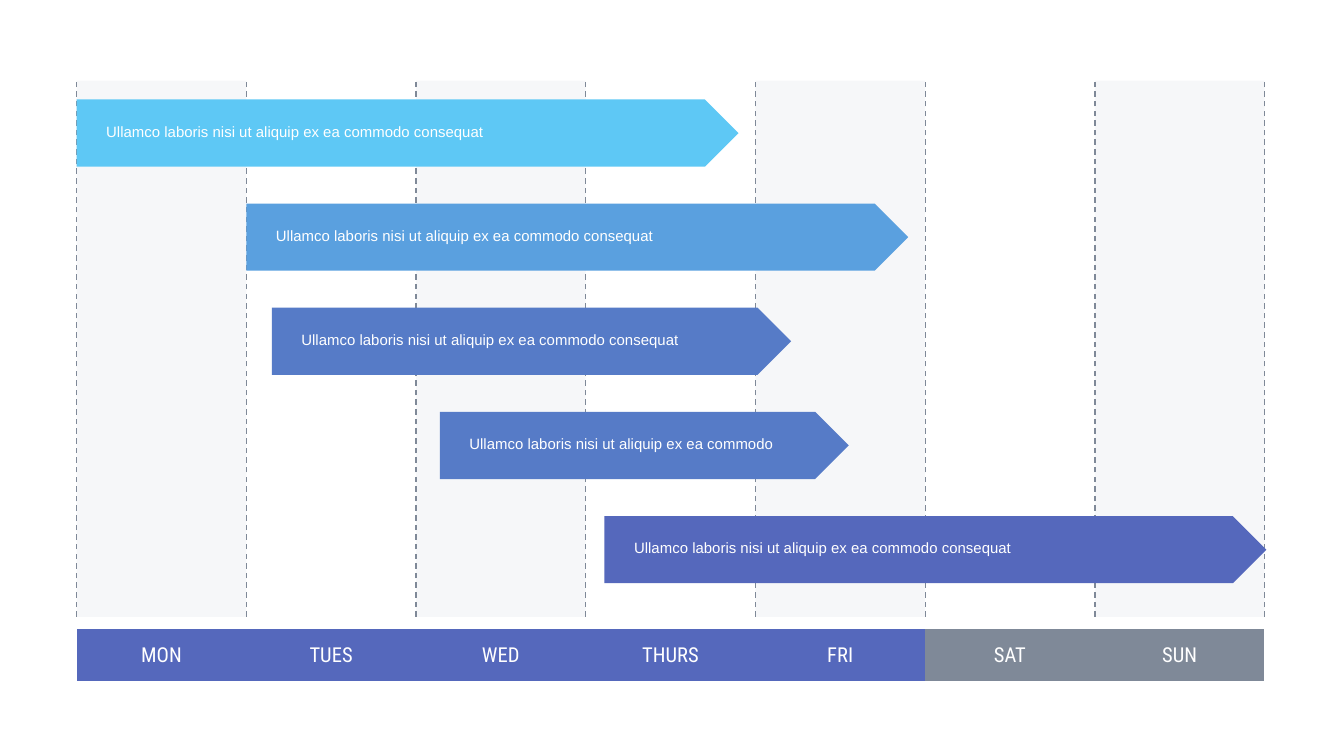
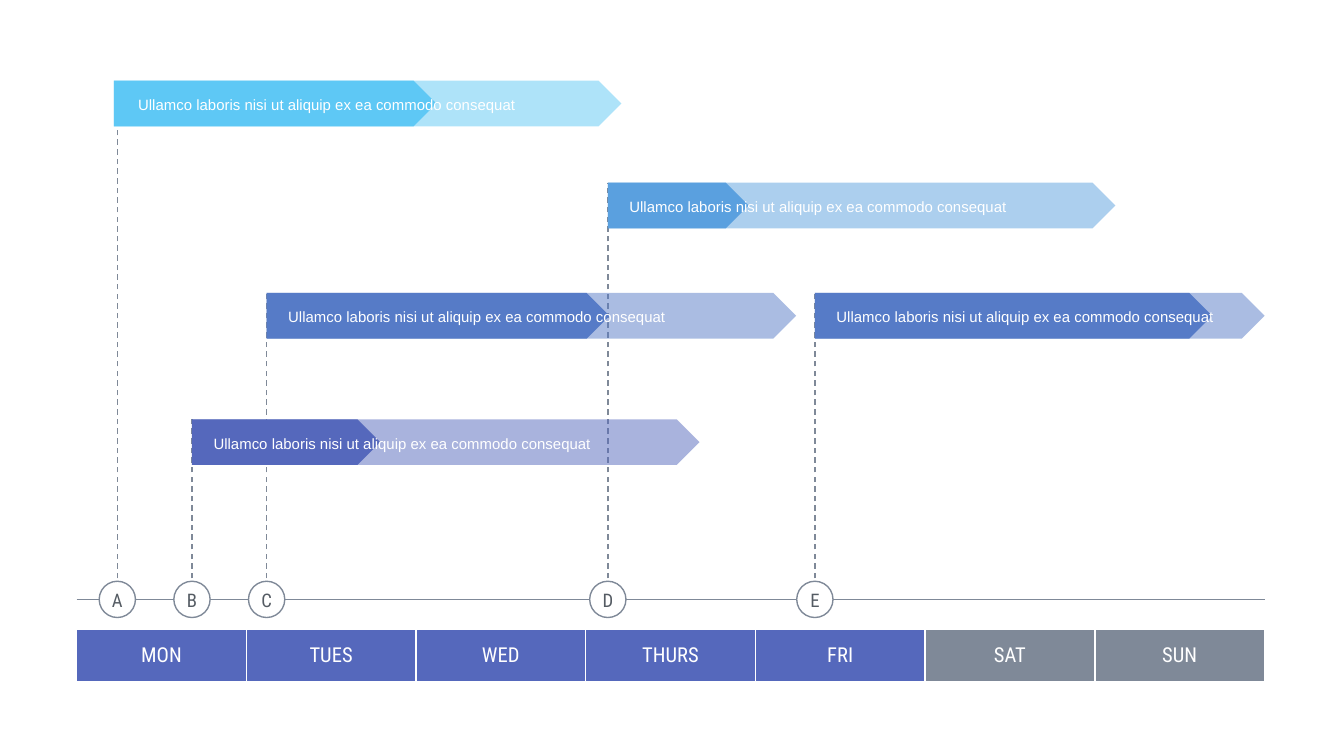
from lxml.etree import SubElement
from pptx import Presentation
from pptx.dml.color import RGBColor
from pptx.enum.dml import MSO_LINE
from pptx.enum.shapes import MSO_CONNECTOR, MSO_SHAPE as SHAPE
from pptx.enum.text import MSO_ANCHOR, PP_ALIGN as ALIGN
from pptx.oxml.ns import qn
from pptx.util import Inches, Pt

COLORS = {"white": "FFFFFF", "stripe": "EEF0F4", "gray": "7F8998", "ink": "545B63",
          "sky": "5EC8F5", "azure": "5AA0DF", "blue": "567BC7", "indigo": "5568BC"}
HEAD_FONT, BODY_FONT = "Roboto Condensed", "Arial"

DAYS = ["MON", "TUES", "WED", "THURS", "FRI", "SAT", "SUN"]
WORKDAYS = 5
SHORT = "Ullamco laboris nisi ut aliquip ex ea commodo"
TASK = SHORT + " consequat"

# start and length in day columns
WEEK_TASKS = [
    (0, 3.9, "sky", TASK),
    (1, 3.9, "azure", TASK),
    (1.15, 3.06, "blue", TASK),
    (2.14, 2.41, "blue", SHORT),
    (3.11, 3.9, "indigo", TASK),
]
# letter, marker, start, length and finished part in day columns, top, label indent, colour
PROGRESS = [
    ("A", 0.24, 0.22, 2.99, 1.9, 0.6, 0.14, "sky"),
    ("B", 0.68, 0.68, 2.99, 1.11, 3.12, 0.12, "indigo"),
    ("C", 1.12, 1.12, 3.12, 2.02, 2.18, 0.12, "blue"),
    ("D", 3.13, 3.13, 2.99, 0.83, 1.36, 0.12, "azure"),
    ("E", 4.35, 4.35, 2.65, 2.34, 2.18, 0.12, "blue"),
]

WIDTH = 10
HEIGHT = WIDTH * 9 / 16
LEFT, RIGHT, TOP, BOTTOM = 0.57, 9.41, 0.6, 4.59
COL = (RIGHT - LEFT) / len(DAYS)
TABLE_TOP, TABLE_H = 4.68, 0.39
AXIS_Y, DOT = 4.46, 0.27


def rgb(name):
    return RGBColor.from_string(COLORS[name])


def day_x(day):
    return LEFT + day * COL


def add_shape(parent, kind, x, y, w, h, color, alpha=None, line=None):
    s = parent.shapes.add_shape(kind, *map(Inches, (x, y, w, h)))
    s.shadow.inherit = False
    s.fill.solid()
    s.fill.fore_color.rgb = rgb(color)
    if alpha:
        clr = s._element.spPr.find(qn("a:solidFill"))[0]
        SubElement(clr, qn("a:alpha")).set("val", str(alpha * 1000))
    if line:
        s.line.color.rgb = rgb(line)
        s.line.width = Pt(0.75)
    else:
        s.line.fill.background()
    return s


def add_line(slide, x1, y1, x2, y2, dashed=True):
    c = slide.shapes.add_connector(MSO_CONNECTOR.STRAIGHT, *map(Inches, (x1, y1, x2, y2)))
    c.line.color.rgb = rgb("gray")
    c.line.width = Pt(0.75)
    if dashed:
        c.line.dash_style = MSO_LINE.DASH
    SubElement(c._element.spPr, qn("a:effectLst"))


def style(p, size, font, color, align=ALIGN.LEFT):
    p.alignment = align
    p.font.size, p.font.name = Pt(size), font
    p.font.color.rgb = rgb(color)


def add_text(parent, text, x, y, w, h, inset, *look):
    tf = parent.shapes.add_textbox(*map(Inches, (x, y, w, h))).text_frame
    tf.word_wrap = True
    tf.margin_left = tf.margin_right = Inches(inset)
    tf.margin_top = tf.margin_bottom = Inches(0.02)
    tf.text = text
    style(tf.paragraphs[0], *look)


def add_bar(slide, x, y, h, parts, color, text, indent, drop):
    g = slide.shapes.add_group_shape()
    for w, alpha in parts:
        add_shape(g, SHAPE.PENTAGON, x, y, w, h, color, alpha)
    add_text(g, text, x + indent, y + drop, 3.11, 0.18, 0.04, 8, BODY_FONT, "white")


def set_borders(cell, color=None):
    tcPr = cell._tc.get_or_add_tcPr()
    for i, side in enumerate(("lnL", "lnR", "lnT", "lnB")):
        ln = tcPr.makeelement(qn("a:" + side), {"w": str(Pt(1))})
        if color:
            SubElement(SubElement(ln, qn("a:solidFill")), qn("a:srgbClr")).set("val", COLORS[color])
        else:
            SubElement(ln, qn("a:noFill"))
        tcPr.insert(i, ln)


def add_days(slide, border=None):
    table = slide.shapes.add_table(1, len(DAYS), *map(
        Inches, (LEFT, TABLE_TOP, RIGHT - LEFT, TABLE_H))).table
    table.first_row = table.horz_banding = False
    for i, day in enumerate(DAYS):
        table.columns[i].width = Inches(COL)
        cell = table.cell(0, i)
        cell.text = day
        cell.vertical_anchor = MSO_ANCHOR.MIDDLE
        cell.margin_left = cell.margin_right = Inches(0.04)
        cell.margin_top = cell.margin_bottom = Inches(0.02)
        cell.fill.solid()
        cell.fill.fore_color.rgb = rgb("indigo" if i < WORKDAYS else "gray")
        set_borders(cell, border)
        style(cell.text_frame.paragraphs[0], 11, HEAD_FONT, "white", ALIGN.CENTER)


def build_week(slide):
    for i in range(0, len(DAYS), 2):
        add_shape(slide, SHAPE.RECTANGLE, day_x(i), TOP, COL, BOTTOM - TOP, "stripe", 50)
    add_days(slide)
    for i in range(len(DAYS) + 1):
        add_line(slide, day_x(i), BOTTOM, day_x(i), TOP)
    pitch = (3.84 - 0.74) / (len(WEEK_TASKS) - 1)
    for i, (start, days, color, text) in enumerate(WEEK_TASKS):
        add_bar(slide, day_x(start), 0.74 + i * pitch, 0.5, [(days * COL, None)],
                color, text, 0.18, 0.15)


def build_progress(slide):
    add_line(slide, LEFT, AXIS_Y, RIGHT, AXIS_Y, dashed=False)
    for letter, mark, _, _, _, top, _, _ in PROGRESS:
        x = day_x(mark)
        add_line(slide, x, BOTTOM, x, top)
        add_shape(slide, SHAPE.OVAL, x - DOT / 2, AXIS_Y - DOT / 2, DOT, DOT, "white", line="gray")
        add_text(slide, letter, x - 0.13, AXIS_Y - 0.1, 0.26, 0.2, 0.02,
                 10, HEAD_FONT, "ink", ALIGN.CENTER)
    add_days(slide, "white")
    for _, _, start, days, done, top, indent, color in PROGRESS:
        add_bar(slide, day_x(start), top, 0.34, [(days * COL, 50), (done * COL, None)],
                color, TASK, indent, 0.09)


def main():
    """Build the weekly plan and the progress timeline."""
    prs = Presentation()
    prs.slide_width, prs.slide_height = Inches(WIDTH), Inches(HEIGHT)
    for build in (build_week, build_progress):
        build(prs.slides.add_slide(prs.slide_layouts[6]))
    prs.save("out.pptx")


if __name__ == "__main__":
    main()
